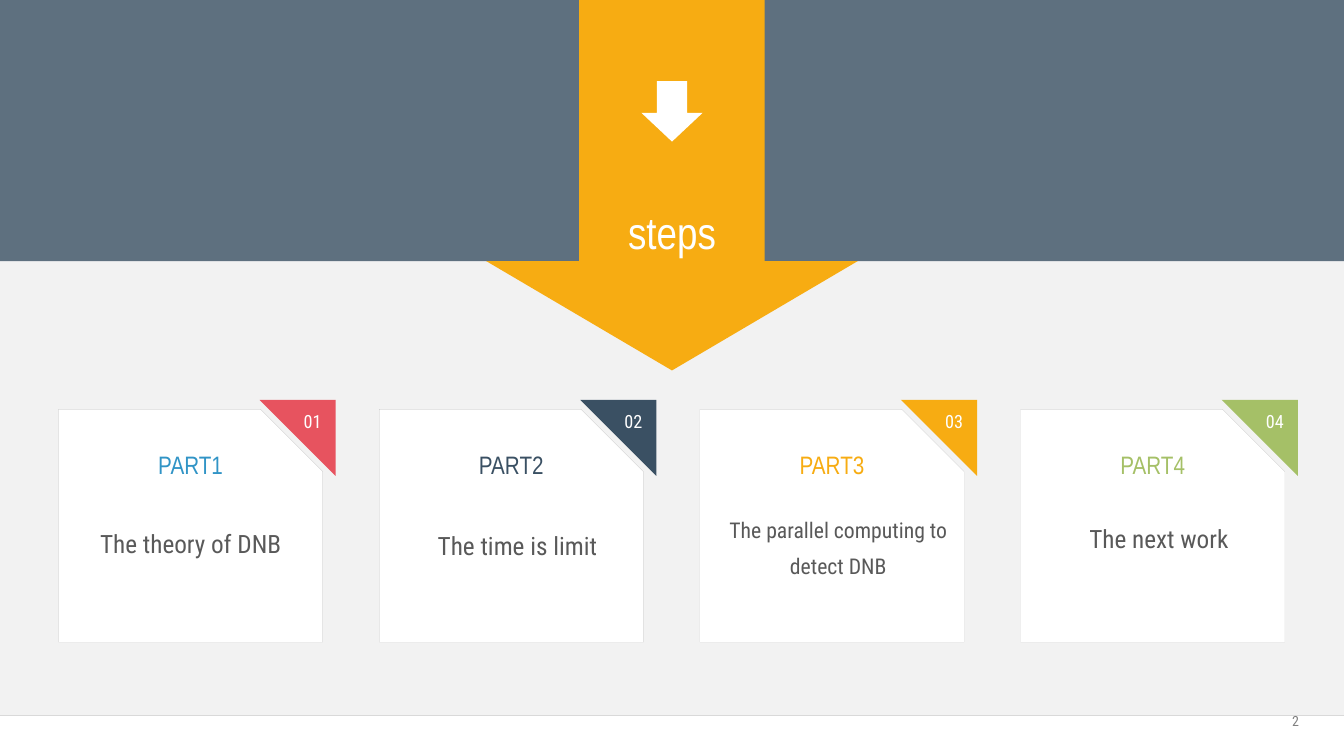
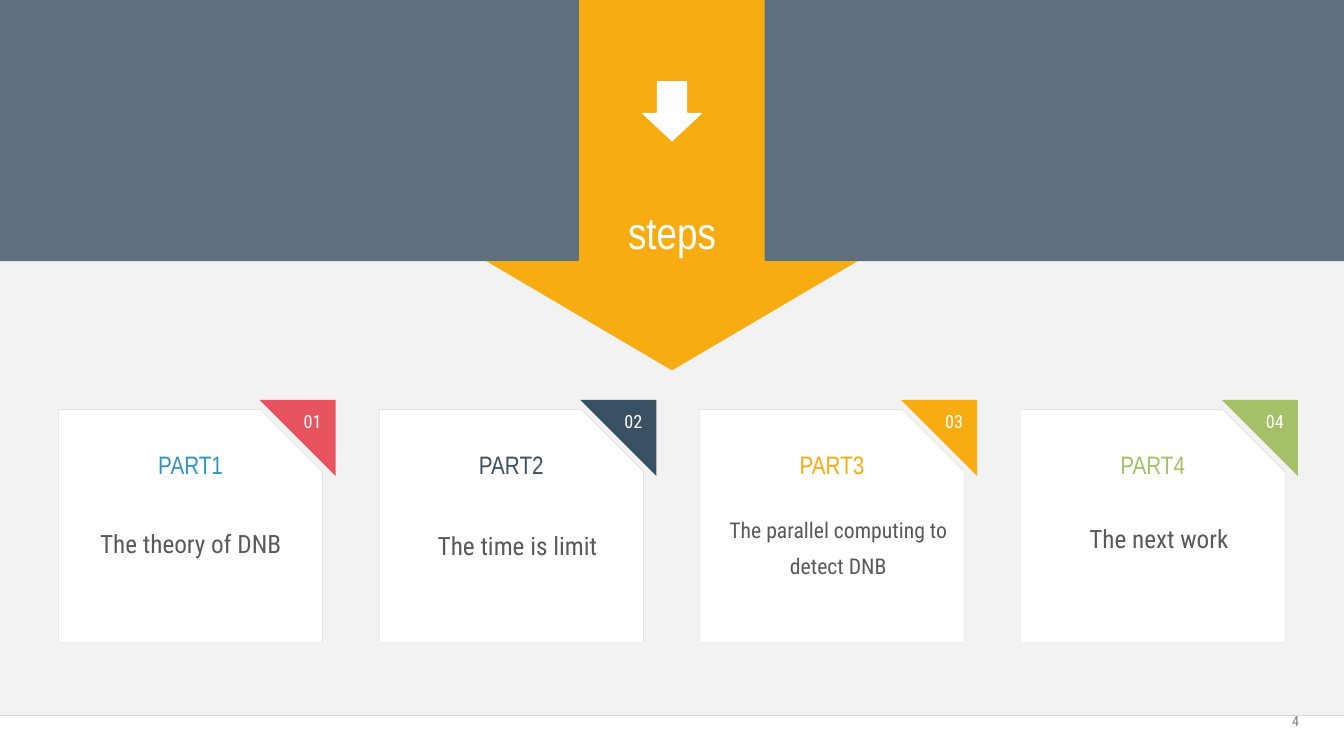
from lxml import etree
from pptx import Presentation
from pptx.dml.color import RGBColor
from pptx.enum.shapes import MSO_CONNECTOR, MSO_SHAPE
from pptx.enum.text import MSO_ANCHOR, MSO_AUTO_SIZE, PP_ALIGN
from pptx.oxml.ns import qn
from pptx.util import Inches, Pt

RECT = MSO_SHAPE.RECTANGLE
LINE = MSO_CONNECTOR.STRAIGHT
TOP, MID = MSO_ANCHOR.TOP, MSO_ANCHOR.MIDDLE
MIDST, RIGHT = PP_ALIGN.CENTER, PP_ALIGN.RIGHT
FIXED = MSO_AUTO_SIZE.NONE

# Colours
PAPER = RGBColor(0xF2, 0xF2, 0xF2)
WHITE = RGBColor(0xFF, 0xFF, 0xFF)
RULE = RGBColor(0xD9, 0xD9, 0xD9)
EDGE = RGBColor(0xBF, 0xBF, 0xBF)
GREY = RGBColor(0x80, 0x80, 0x80)
INK = RGBColor(0x59, 0x59, 0x59)
NAVY = RGBColor(0x3A, 0x50, 0x63)
GOLD = RGBColor(0xF7, 0xAC, 0x12)
RED = RGBColor(0xE7, 0x53, 0x5F)
BLUE = RGBColor(0x31, 0x94, 0xC6)
GREEN = RGBColor(0xA5, 0xC0, 0x67)

HEAD, BODY = "Arial Narrow", "Roboto Condensed"

# Grid
WIDTH, HEIGHT = Inches(26.66), Inches(15)
COLS, ROWS = 80, 45
BAND, FOOT = 15.54, 42.58
LEFT, STEP = 3.48, 19.09
CARD_W, CARD_TOP, CARD_END, CUT = 15.73, 24.36, 38.22, 3.71
TAG_X, TAG_TOP, TAG = 11.97, 23.8, 4.53

# Head colour, tag colour, text, size, then text offset, top and height
PARTS = [
    (BLUE, RED, "The theory of DNB", 36, 1.29, 30.75, 2.53),
    (NAVY, NAVY, "The time is limit", 36, 1.65, 30.87, 2.53),
    (GOLD, GOLD, "The parallel computing to detect DNB", 31, 1.65, 30.12, 4.35),
    (GREEN, GREEN, "The next work", 36, 1.65, 30.45, 2.53),
]


def col(n):
    return round(WIDTH * n / COLS)


def row(n):
    return round(HEIGHT * n / ROWS)


class Deck:
    def __init__(self):
        self.prs = Presentation()
        self.prs.slide_width, self.prs.slide_height = WIDTH, HEIGHT

    def start(self):
        self.slide = self.prs.slides.add_slide(self.prs.slide_layouts[5])
        self.slide.background.fill.solid()
        self.slide.background.fill.fore_color.rgb = PAPER
        self.pen = self.slide.shapes

    def group(self):
        self.pen = self.slide.shapes.add_group_shape().shapes

    def paint(self, shape, fill, edge=None):
        shape.shadow.inherit = False
        shape.fill.solid()
        shape.fill.fore_color.rgb = fill
        if edge is None:
            shape.line.fill.background()
        else:
            shape.line.color.rgb = edge
            shape.line.width = Pt(0.25)

    def rect(self, x, y, w, h, fill, alpha=None):
        box = self.pen.add_shape(RECT, col(x), row(y), col(w), row(h))
        self.paint(box, fill)
        if alpha:
            tone = box._element.spPr.find(".//" + qn("a:srgbClr"))
            etree.SubElement(tone, qn("a:alpha"), val=str(alpha * 1000))

    def rule(self, y):
        line = self.pen.add_connector(LINE, 0, row(y), WIDTH, row(y))
        line.line.color.rgb = RULE
        line.line.width = Pt(0.25)
        etree.SubElement(line._element.spPr, qn("a:effectLst"))

    def outline(self, spots, fill, edge=None):
        spots = [(col(x), row(y)) for x, y in spots]
        pen = self.pen.build_freeform(*spots[0])
        pen.add_line_segments(spots[1:], close=True)
        self.paint(pen.convert_to_shape(), fill, edge)

    def arrow(self, shaft, head, top, neck, tip, fill):
        mid = COLS / 2
        self.outline([(mid - head, neck), (mid - shaft, neck), (mid - shaft, top),
                      (mid + shaft, top), (mid + shaft, neck), (mid + head, neck),
                      (mid, tip)], fill)

    def label(self, frame, text, size, font, tone, gap, align=MIDST, anchor=TOP, pad=0):
        frame.word_wrap = True
        frame.auto_size = FIXED
        frame.vertical_anchor = anchor
        frame.margin_left = frame.margin_right = Inches(pad)
        frame.margin_top = frame.margin_bottom = Inches(pad)
        para = frame.paragraphs[0]
        para.alignment, para.line_spacing = align, gap
        run = para.add_run()
        run.text = text
        run.font.size, run.font.name = Pt(size), font
        run.font.color.rgb = tone

    def text(self, x, y, w, h, *words, **style):
        box = self.pen.add_textbox(col(x), row(y), col(w), row(h))
        self.label(box.text_frame, *words, **style)

    def title(self, text, x, y, w, h):
        box = self.slide.shapes.title
        box.left, box.top, box.width, box.height = col(x), row(y), col(w), row(h)
        self.label(box.text_frame, text, 64, HEAD, WHITE, 0.8, pad=0.13)
        # Bring the title in front of the arrow
        self.slide.shapes._spTree.append(box._element)

    def foot(self, page):
        self.rect(0, FOOT, COLS, ROWS - FOOT, WHITE)
        self.rule(FOOT)
        self.text(74.03, 42.4, 3.3, 1.08, str(page), 20, BODY, GREY, 1.0,
                  align=RIGHT, anchor=MID)

    def card(self, i, tone, mark, words, size, shift, top, tall):
        x = LEFT + i * STEP
        end = x + CARD_W
        self.group()
        self.outline([(x, CARD_TOP), (end - CUT, CARD_TOP), (end, CARD_TOP + CUT),
                      (end, CARD_END), (x, CARD_END)], WHITE, EDGE)
        self.text(x, 26.82, CARD_W, 2.07, f"PART{i + 1}", 36, HEAD, tone, 0.7, pad=0.13)
        self.text(x + shift, top, 13.17, tall, words, size, BODY, INK, 1.4)
        # Corner tag
        tag = x + TAG_X
        self.outline([(tag + TAG, TAG_TOP), (tag, TAG_TOP),
                      (tag + TAG, TAG_TOP + TAG)], mark)
        self.text(x + 14.04, 23.88, 2.19, 1.83, f"{i + 1:02}", 26, BODY, WHITE, 1.4,
                  anchor=MID)


def main():
    deck = Deck()
    for page in (2, 4):
        deck.start()
        deck.foot(page)
        # Band and arrows
        deck.rect(0, 0, COLS, BAND, NAVY, alpha=80)
        deck.arrow(5.52, 11.06, 0, BAND, 22.05, GOLD)
        deck.title("steps", 34.45, 12.39, 11.1, 3.42)
        deck.arrow(0.9, 1.82, 4.83, 6.72, 8.43, WHITE)
        # Cards
        for i, part in enumerate(PARTS):
            deck.card(i, *part)
    deck.prs.save("out.pptx")


if __name__ == "__main__":
    main()
